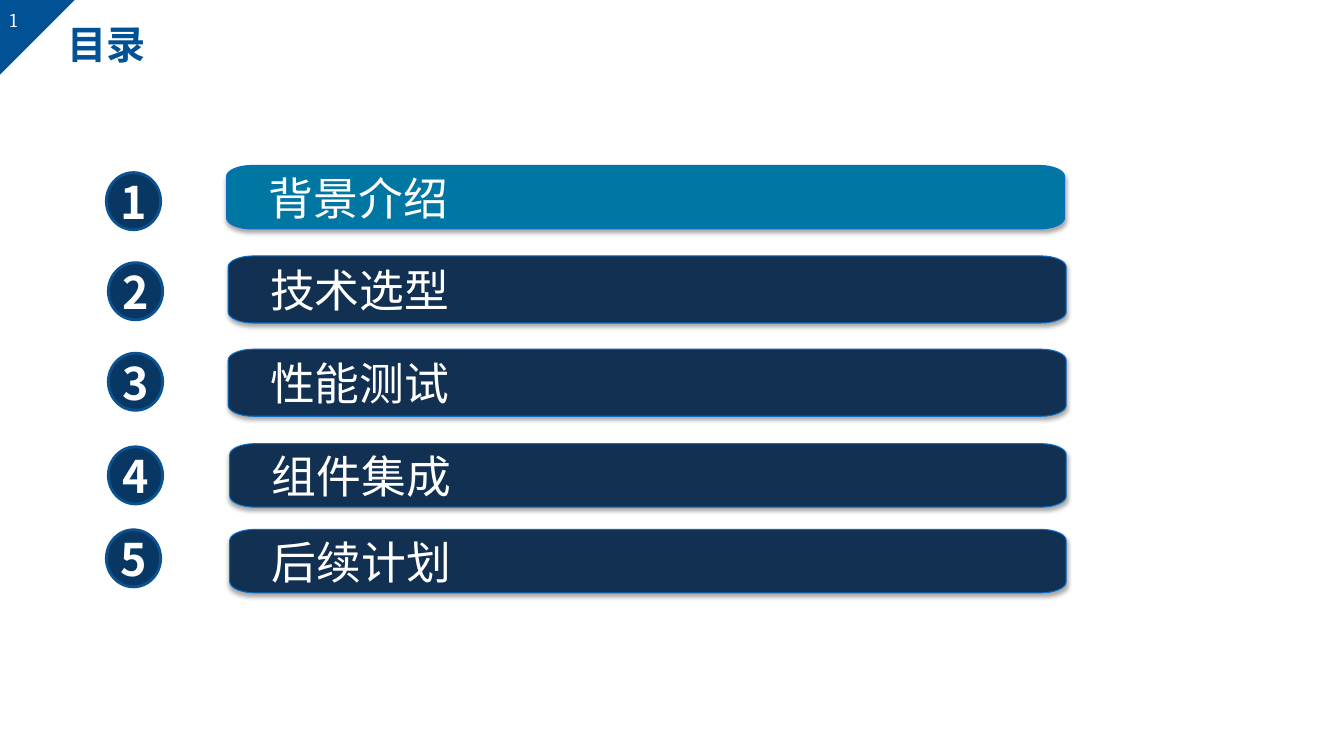
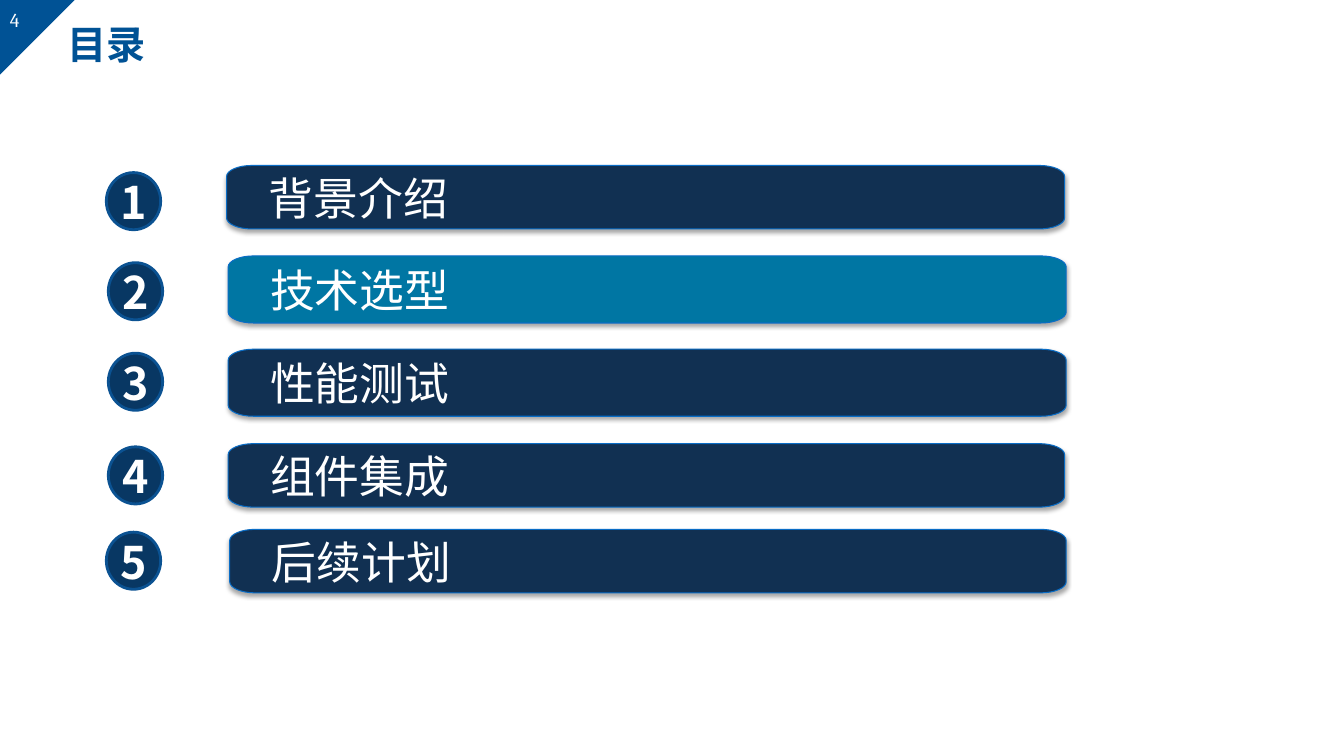
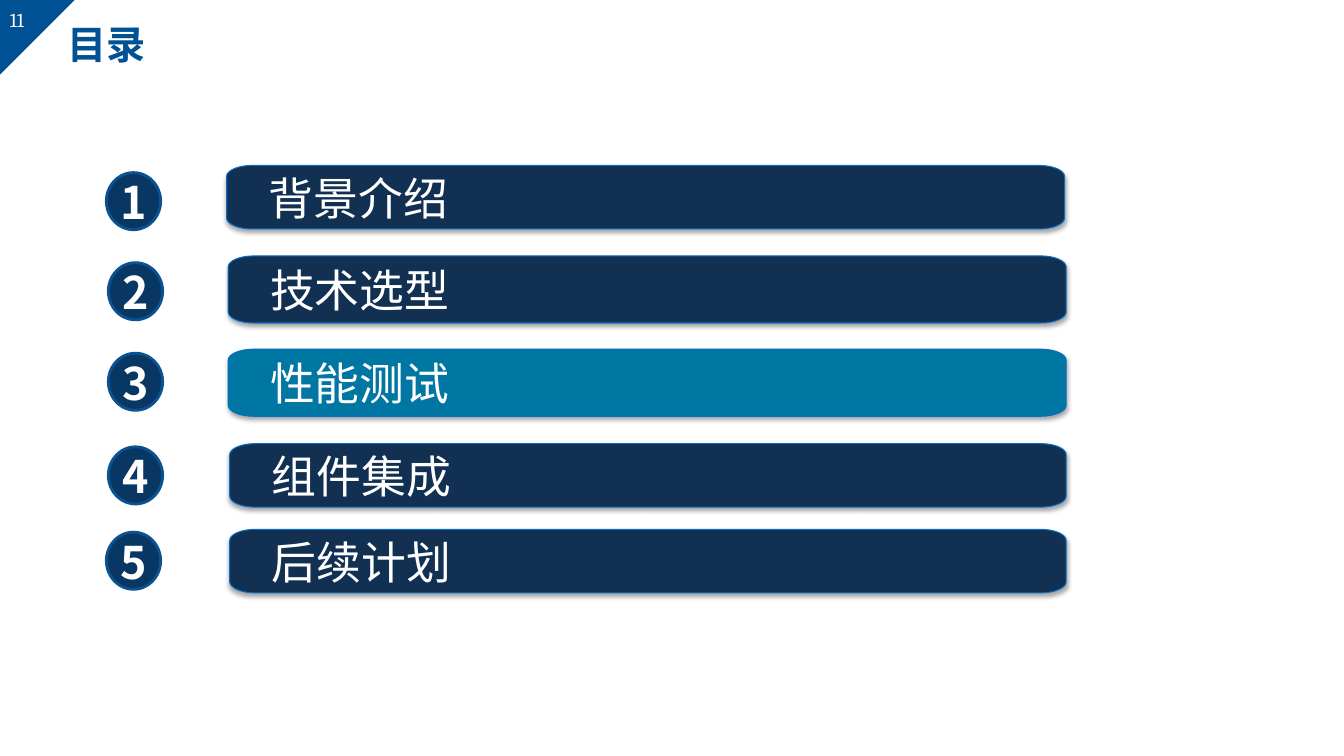
from lxml import etree
from pptx import Presentation
from pptx.dml.color import RGBColor
from pptx.enum.shapes import MSO_SHAPE
from pptx.enum.text import MSO_ANCHOR, PP_ALIGN
from pptx.oxml.ns import qn
from pptx.util import Cm, Pt

LEFT, CENTER = PP_ALIGN.LEFT, PP_ALIGN.CENTER
TOP, MIDDLE = MSO_ANCHOR.TOP, MSO_ANCHOR.MIDDLE
OVAL, RIGHT_TRIANGLE = MSO_SHAPE.OVAL, MSO_SHAPE.RIGHT_TRIANGLE

COLORS = {
    "brand": "005295",
    "active": "0076A3",
    "bar": "113052",
    "bar_line": "0A6DC6",
    "badge": "083763",
    "badge_line": "0B5292",
    "white": "FFFFFF",
    "shadow": "000000",
}
SANS = "Noto Sans CJK SC"
TITLE = "目录"
TOPICS = [
    {"text": "背景介绍", "font": SANS, "bar": (5.71, 4.17, 21.12, 1.6), "badge": (2.68, 4.35)},
    {"text": "技术选型", "font": "Arial", "bar": (5.75, 6.45, 21.12, 1.69), "badge": (2.73, 6.62)},
    {"text": "性能测试", "font": SANS, "bar": (5.75, 8.8, 21.12, 1.69), "badge": (2.73, 8.9)},
    {"text": "组件集成", "font": SANS, "bar": (5.79, 11.18, 21.08, 1.6), "badge": (2.73, 11.26)},
    {"text": "后续计划", "font": SANS, "bar": (5.79, 13.34, 21.08, 1.6), "badge": (2.68, 13.41)},
]
AGENDAS = [
    {"page": "1", "active": 0, "moved": {4: {"badge": (2.68, 13.35)}}},
    {"page": "4", "active": 1, "moved": {3: {"bar": (5.75, 11.18, 21.08, 1.6)}}},
    {"page": "11", "active": 2, "moved": {}},
]
CORNER = (0.64, 0.28)
ROUNDNESS = 0.55
STYLES = {
    "title": {"size": Pt(28), "bold": True, "name": SANS},
    "page": {"size": Pt(14), "bold": False, "name": "Cambria"},
    "topic": {"size": Pt(32), "bold": False},
    "badge": {"size": Pt(32), "bold": True, "name": SANS},
}


def rgb(name):
    return RGBColor.from_string(COLORS[name])


def write(sp, text, style, color="white", align=LEFT, anchor=TOP, spacing=None, wrap=True):
    tf = sp.text_frame
    tf.word_wrap = wrap
    tf.vertical_anchor = anchor
    p = tf.paragraphs[0]
    p.alignment = align
    p.line_spacing = spacing
    r = p.add_run()
    r.text = text
    for key, value in style.items():
        setattr(r.font, key, value)
    r.font.color.rgb = rgb(color)
    etree.SubElement(r.font._element, qn("a:ea"), typeface=style["name"])


def paint(sp, fill, line=None, width=0):
    sp.shadow.inherit = False
    sp.fill.solid()
    sp.fill.fore_color.rgb = rgb(fill)
    if line:
        sp.line.color.rgb = rgb(line)
        sp.line.width = Pt(width)
    else:
        sp.line.fill.background()


def cast_shadow(sp):
    effects = sp._element.spPr.find(qn("a:effectLst"))
    outer = etree.SubElement(effects, qn("a:outerShdw"), blurRad=str(Pt(3.1)),
                             dist=str(Pt(1.8)), dir="5400000", rotWithShape="0")
    color = etree.SubElement(outer, qn("a:srgbClr"), val=COLORS["shadow"])
    etree.SubElement(color, qn("a:alpha"), val="35000")


def bar_outline(left, top, width, height):
    rx, ry = CORNER
    right, bottom = left + width, top + height
    corners = [(left, top + ry), (left + rx, top), (right - rx, top), (right, top + ry),
               (right, bottom - ry), (right - rx, bottom), (left + rx, bottom), (left, bottom - ry)]
    return [(Cm(x), Cm(y)) for x, y in corners]


def round_corners(sp):
    segments = list(sp._element.iter(qn("a:moveTo"), qn("a:lnTo")))
    points = [(int(seg[0].get("x")), int(seg[0].get("y"))) for seg in segments]
    for i in range(0, len(points), 2):
        (ax, ay), (bx, by) = points[i], points[i + 1]
        tip = (ax, by) if i % 4 == 0 else (bx, ay)
        handles = [[round(p + ROUNDNESS * (t - p)) for p, t in zip(end, tip)]
                   for end in ((ax, ay), (bx, by))]
        curve = etree.Element(qn("a:cubicBezTo"))
        for x, y in (*handles, (bx, by)):
            etree.SubElement(curve, qn("a:pt"), x=str(x), y=str(y))
        line = segments[i + 1]
        line.getparent().replace(line, curve)


def add_bar(s, topic, fill):
    points = bar_outline(*topic["bar"])
    builder = s.shapes.build_freeform(*points[0])
    builder.add_line_segments(points[1:], close=True)
    sp = builder.convert_to_shape()
    round_corners(sp)
    paint(sp, fill, "bar_line", 0.75)
    cast_shadow(sp)
    tf = sp.text_frame
    tf.margin_left = tf.margin_right = Cm(1.06)
    tf.margin_top = tf.margin_bottom = Cm(0.2)
    write(sp, topic["text"], {**STYLES["topic"], "name": topic["font"]}, anchor=MIDDLE)


def add_badge(s, number, left, top):
    group = s.shapes.add_group_shape()
    disc = group.shapes.add_shape(OVAL, Cm(left), Cm(top), Cm(1.37), Cm(1.44))
    paint(disc, "badge", "badge_line", 2)
    label = group.shapes.add_textbox(Cm(left + 0.08), Cm(top + 0.08), Cm(1.22), Cm(1.5))
    write(label, str(number), STYLES["badge"], align=CENTER, spacing=0.9, wrap=False)


def add_corner(s, layout):
    sp = s.shapes.add_shape(RIGHT_TRIANGLE, Cm(-0.05), Cm(-0.05), Cm(1.98), Cm(1.98))
    sp.rotation = 90
    paint(sp, "brand")
    layout.shapes._spTree.append(sp._element)


def add_agenda(prs, layout, agenda):
    s = prs.slides.add_slide(layout)
    title = s.shapes.title
    title.left, title.top, title.width, title.height = Cm(1.45), Cm(-0.2), Cm(30.2), Cm(2.39)
    write(title, TITLE, STYLES["title"], "brand", anchor=MIDDLE, spacing=1.2)
    page = s.shapes.add_textbox(Cm(0), Cm(0.08), Cm(1.24), Cm(0.86))
    write(page, agenda["page"], STYLES["page"])
    for i, base in enumerate(TOPICS):
        topic = {**base, **agenda["moved"].get(i, {})}
        add_bar(s, topic, "active" if i == agenda["active"] else "bar")
        add_badge(s, i + 1, *topic["badge"])
    return s


def main():
    prs = Presentation()
    prs.slide_width, prs.slide_height = Cm(33.87), Cm(19.05)
    layout = prs.slide_layouts[5]
    slides = [add_agenda(prs, layout, agenda) for agenda in AGENDAS]
    add_corner(slides[0], layout)
    prs.save("out.pptx")


if __name__ == "__main__":
    main()
